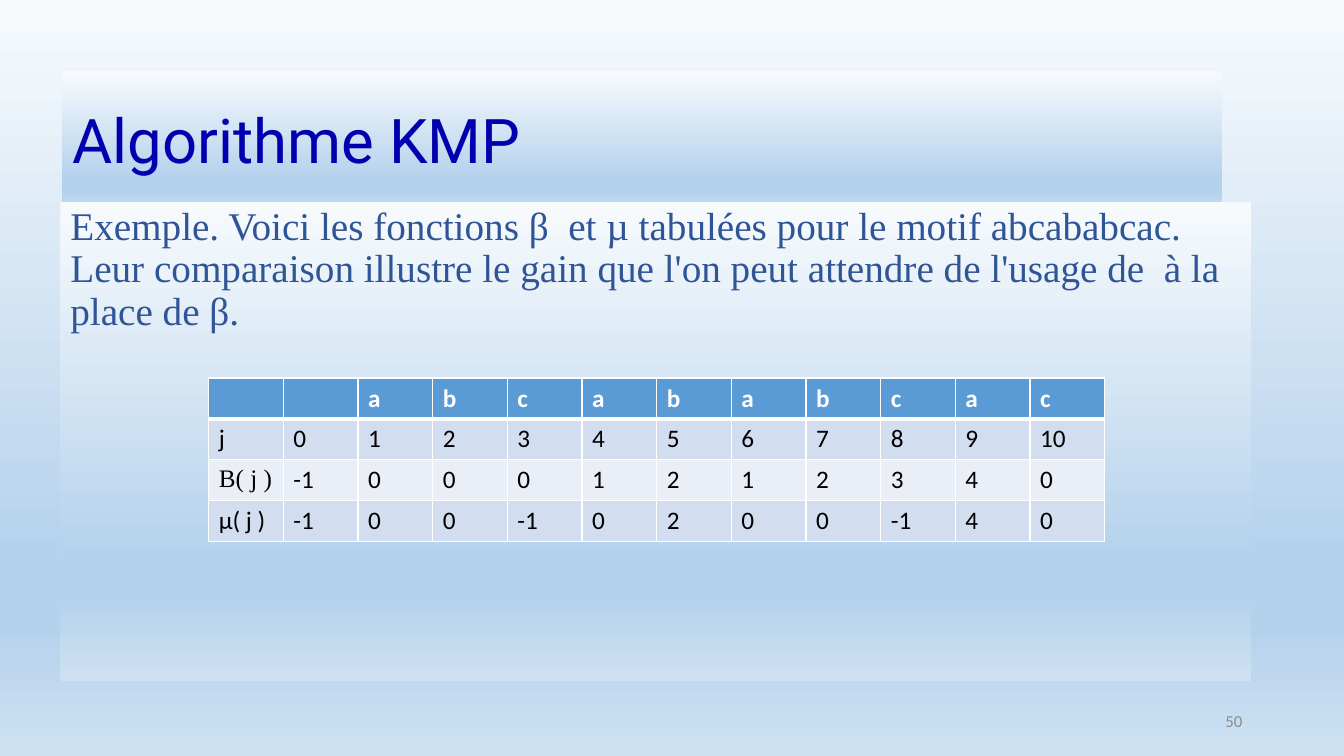
from dataclasses import dataclass

from lxml.etree import SubElement
from pptx import Presentation
from pptx.dml.color import RGBColor as Rgb
from pptx.enum.shapes import MSO_SHAPE as Preset
from pptx.enum.text import MSO_ANCHOR as Anchor, PP_ALIGN as Align
from pptx.oxml.ns import qn
from pptx.util import Inches, Pt

COLOURS = {
    "title": "0000AF", "body": "2F5597", "number": "8C8C8C",
    "header": "5B9BD5", "band_dark": "D2DEEF", "band_light": "EAEFF7",
    "white": "FFFFFF", "black": "000000",
}
GRADIENT = [(0, "F7FAFD"), (74, "B5D2EC"), (83, "B5D2EC"), (100, "CEE1F2")]
PATTERN = "abcababcac"


@dataclass
class TextPanel:
    text: str
    left: float
    top: float
    width: float
    height: float
    font: str
    size: int
    colour: str
    anchor: Anchor = Anchor.MIDDLE
    align: Align = Align.LEFT
    line_spacing: float = 1.0
    space_before: int = 0
    filled: bool = True


@dataclass
class TableRow:
    values: list[str]
    fill: str
    colour: str = "black"
    bold: bool = False
    label_font: str = "Calibri"
    top_border: int = 1
    bottom_border: int = 1


PANELS = [
    TextPanel("Algorithme KMP", 0.62, 0.7, 11.5, 1.45, "Roboto", 44, "title",
              line_spacing=0.9),
    TextPanel("Exemple. Voici les fonctions β  et µ tabulées pour le motif abcababcac. "
              "Leur comparaison illustre le gain que l'on peut attendre de l'usage de  "
              "à la place de β.",
              0.6, 2, 11.81, 4.76, "Times New Roman", 28, "body",
              anchor=Anchor.TOP, line_spacing=0.9, space_before=10),
    TextPanel("50", 9.42, 6.95, 3, 0.4, "Calibri", 12, "number",
              align=Align.RIGHT, filled=False),
]
ROWS = [
    TableRow(["", "", *PATTERN], "header", "white", bold=True, bottom_border=3),
    TableRow(["j", *map(str, range(len(PATTERN) + 1))], "band_dark", top_border=3),
    TableRow(["Β( j )", *"-1 0 0 0 1 2 1 2 3 4 0".split()], "band_light",
             label_font="Times New Roman"),
    TableRow(["µ( j )", *"-1 0 0 -1 0 2 0 0 -1 4 0".split()], "band_dark"),
]


def rgb(name: str) -> Rgb:
    return Rgb.from_string(COLOURS[name])


def apply_gradient(fill, element) -> None:
    """Give a fill the vertical blue gradient."""
    fill.gradient()
    fill.gradient_angle = 270
    stops = element.find(".//" + qn("a:gsLst"))
    for stop in list(stops):
        stops.remove(stop)
    for percent, colour in GRADIENT:
        stop = SubElement(stops, qn("a:gs"), pos=str(percent * 1000))
        SubElement(stop, qn("a:srgbClr"), val=colour)


def format_runs(para, font: str, size: int, colour: str, bold: bool = False) -> None:
    for span in para.runs:
        span.font.name = font
        span.font.size = Pt(size)
        span.font.bold = bold
        span.font.color.rgb = rgb(colour)


def draw_panel(page, panel: TextPanel) -> None:
    place = [Inches(n) for n in (panel.left, panel.top, panel.width, panel.height)]
    if panel.filled:
        box = page.shapes.add_shape(Preset.RECTANGLE, *place)
        box.shadow.inherit = False
        box.line.fill.background()
        apply_gradient(box.fill, box._element)
    else:
        box = page.shapes.add_textbox(*place)
    frame = box.text_frame
    frame.word_wrap = True
    frame.vertical_anchor = panel.anchor
    frame.text = panel.text
    para = frame.paragraphs[0]
    para.alignment = panel.align
    para.line_spacing = panel.line_spacing
    para.space_before = Pt(panel.space_before)
    format_runs(para, panel.font, panel.size, panel.colour)


def add_borders(cell, top: int, bottom: int) -> None:
    properties = cell._tc.get_or_add_tcPr()
    for side, width in (("L", 1), ("R", 1), ("T", top), ("B", bottom)):
        line = SubElement(properties, qn(f"a:ln{side}"), w=str(Pt(width)))
        paint = SubElement(line, qn("a:solidFill"))
        SubElement(paint, qn("a:srgbClr"), val=COLOURS["white"])


def draw_table(page, rows: list[TableRow], left: float, top: float,
               width: float, height: float) -> None:
    table = page.shapes.add_table(len(rows), len(rows[0].values), Inches(left),
                                  Inches(top), Inches(width), Inches(height)).table
    for y, row in enumerate(rows):
        for x, value in enumerate(row.values):
            cell = table.cell(y, x)
            add_borders(cell, row.top_border, row.bottom_border)
            cell.fill.solid()
            cell.fill.fore_color.rgb = rgb(row.fill)
            cell.text_frame.text = value
            font = row.label_font if x == 0 else "Calibri"
            format_runs(cell.text_frame.paragraphs[0], font, 18, row.colour, row.bold)


def main() -> None:
    deck = Presentation()
    deck.slide_width, deck.slide_height = Inches(13.33), Inches(7.5)
    page = deck.slides.add_slide(deck.slide_layouts[6])

    # Background
    apply_gradient(page.background.fill, page._element)

    # Title, body and page number
    for panel in PANELS:
        draw_panel(page, panel)

    # Table of both functions
    draw_table(page, ROWS, 2.07, 3.75, 8.89, 1.62)

    deck.save("out.pptx")


if __name__ == "__main__":
    main()
